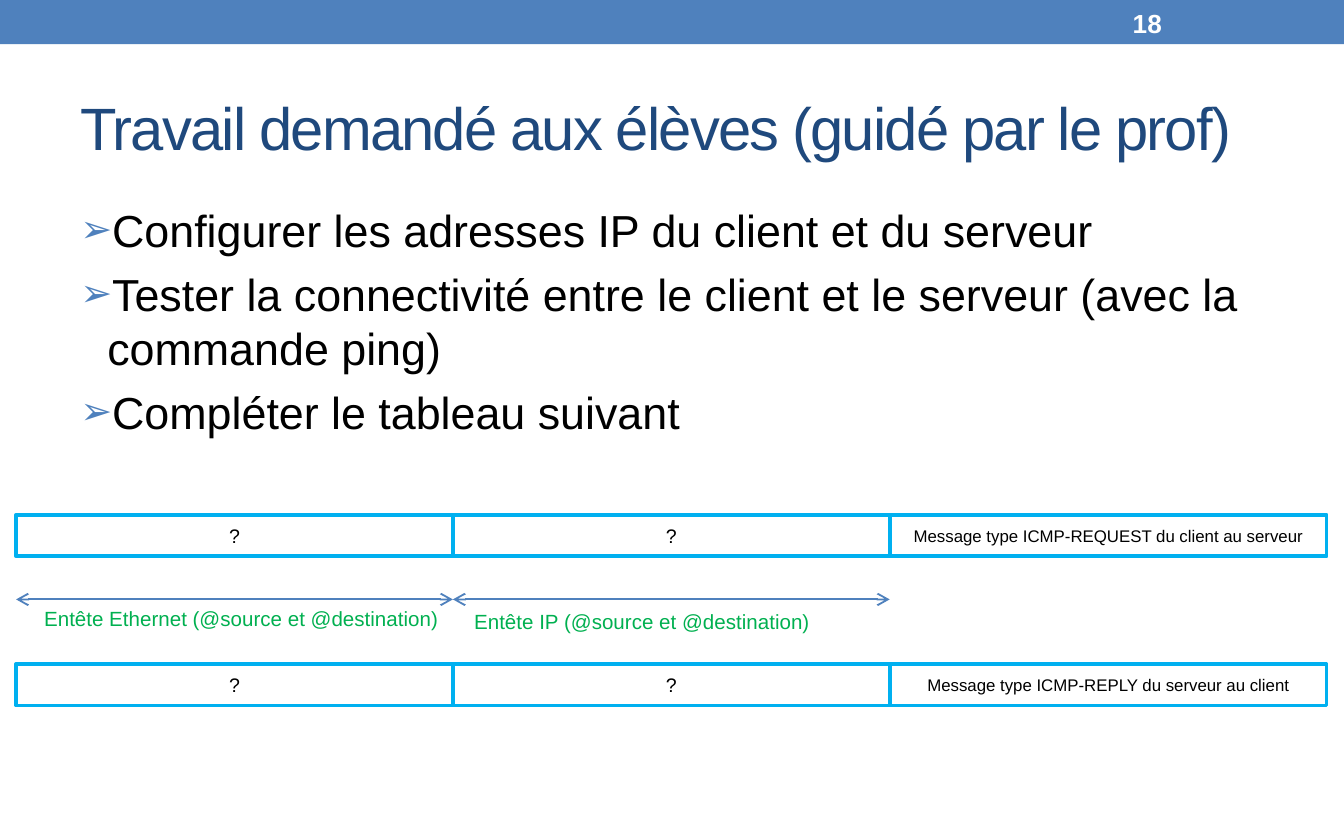
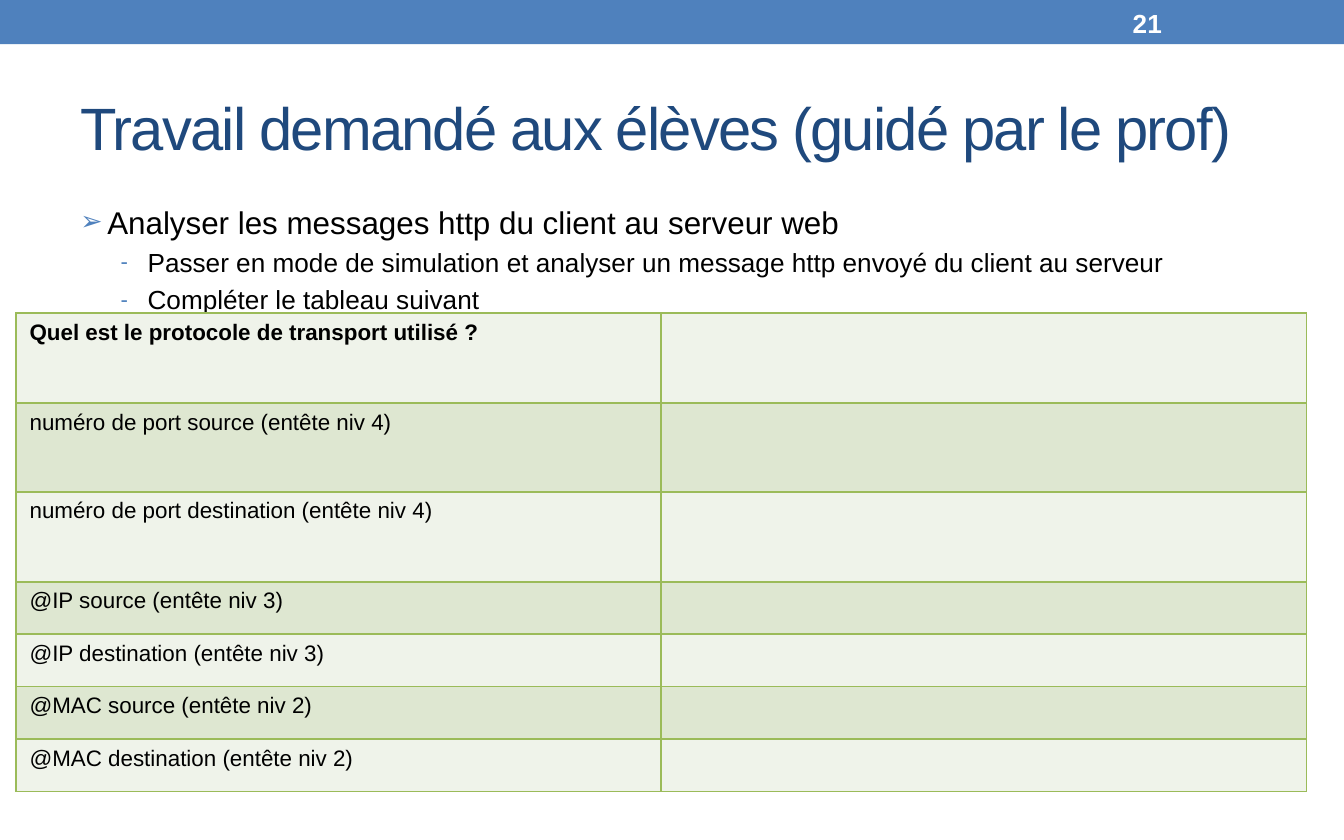
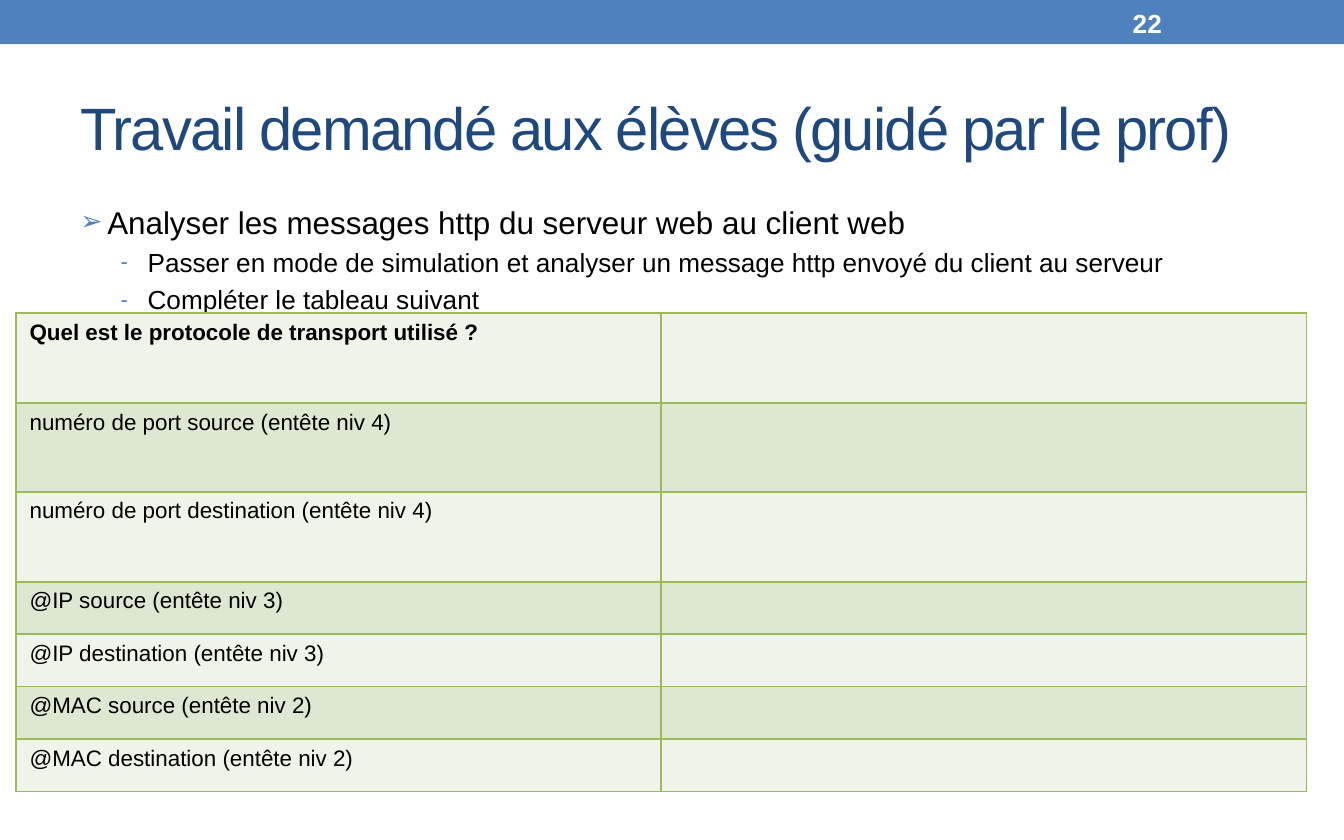
"""Build three slides of a networking lesson: ping messages and HTTP analysis."""
from lxml import etree
from pptx import Presentation
from pptx import util as u
from pptx.dml.color import RGBColor
from pptx.enum import shapes, text
from pptx.oxml import ns

COLORS = {
    "band": "4F81BD", "title": "1F497D", "body": "000000", "white": "FFFFFF",
    "frame": "00B0F0", "label": "00B050", "border": "9BBB59",
    "light": "EFF3EA", "dark": "DEE7D1",
}
FONT = "Arial"
TITLE = "Travail demandé aux élèves (guidé par le prof)"
LEVELS = [{"char": "➢", "left": 0.2}, {"char": "-", "left": 0.5}]
HANG = 0.2
SPACING = 0.23
FIELD_X, FIELD_W, FIELD_H = 0.12, 3.25, 0.31
QUESTIONS = [
    ("Quel est le protocole de transport utilisé ?", 0.67),
    ("numéro de port source (entête niv 4)", 0.66),
    ("numéro de port destination (entête niv 4)", 0.67),
    ("@IP source (entête niv 3)", 0.39),
    ("@IP destination (entête niv 3)", 0.39),
    ("@MAC source (entête niv 2)", 0.39),
    ("@MAC destination (entête niv 2)", 0.39),
]


def rgb(name):
    """Return a named colour."""
    return RGBColor.from_string(COLORS[name])


def box(*lengths):
    """Convert lengths in inches."""
    return [u.Inches(n) for n in lengths]


def sub(parent, tag, **attrs):
    """Append a DrawingML element."""
    return etree.SubElement(parent, ns.qn("a:" + tag), attrs)


def add_run(p, content, size, color="body", **fmt):
    """Add a formatted run to a paragraph."""
    r = p.add_run()
    r.text = content
    for name, value in {"name": FONT, "size": u.Pt(size), **fmt}.items():
        setattr(r.font, name, value)
    r.font.color.rgb = rgb(color)
    return r


def add_text(s, at, content="", size=14, color="body", frame=None, **fmt):
    """Add a text box, with one run if there is content."""
    tf = s.shapes.add_textbox(*box(*at)).text_frame
    for name, value in {"word_wrap": True, **(frame or {})}.items():
        setattr(tf, name, value)
    if content:
        add_run(tf.paragraphs[0], content, size, color, **fmt)
    return tf


def add_rect(s, at, fill=None, line=None):
    """Add a rectangle with an optional fill and outline."""
    sp = s.shapes.add_shape(shapes.MSO_SHAPE.RECTANGLE, *box(*at))
    sp.shadow.inherit = False
    for part, color in ((sp.fill, fill), (sp.line.fill, line)):
        if color:
            part.solid()
            part.fore_color.rgb = rgb(color)
        else:
            part.background()
    return sp


def add_frame(prs, number):
    """Add a slide with its band, title and number."""
    s = prs.slides.add_slide(prs.slide_layouts[6])
    middle = {"vertical_anchor": text.MSO_ANCHOR.MIDDLE}
    add_rect(s, (0, 0, 10, 0.33), fill="band")
    tf = add_text(s, (0.5, 0.49, 9, 0.9), TITLE, 32, "title", middle)
    tf.paragraphs[0].runs[0].font._element.set("spc", "-100")
    add_text(s, (8.33, 0.02, 1.17, 0.3), str(number), 14, "white", middle, bold=True)
    return s


def add_bullets(s, height, items):
    """Add a bulleted body from (level, size, content) items."""
    tf = add_text(s, (0.5, 1.46, 9, height))
    for i, (level, size, content) in enumerate(items):
        p = tf.add_paragraph() if i else tf.paragraphs[0]
        p.level = level
        if i:
            p.space_before = u.Pt(round(size * SPACING, 1))
        style = LEVELS[level]
        pPr = p._p.get_or_add_pPr()
        pPr.set("marL", str(u.Inches(style["left"])))
        pPr.set("indent", str(-u.Inches(HANG)))
        sub(sub(pPr, "buClr"), "srgbClr", val=COLORS["band"])
        sub(pPr, "buSzPct", val="85000")
        sub(pPr, "buFont", typeface=FONT)
        sub(pPr, "buChar", char=style["char"])
        add_run(p, content, size)


def add_message(s, top, content):
    """Add a row of three fields that ends with the message type."""
    for i, (field, size) in enumerate([("?", 10.5), ("?", 10.5), (content, 9)]):
        sp = add_rect(s, (FIELD_X + i * FIELD_W, top, FIELD_W, FIELD_H), line="frame")
        sp.line.width = u.Pt(2.08)
        tf = sp.text_frame
        tf.word_wrap = True
        tf.vertical_anchor = text.MSO_ANCHOR.MIDDLE
        p = tf.paragraphs[0]
        p.alignment = text.PP_ALIGN.CENTER
        add_run(p, field, size)


def add_span(s, x, y, width):
    """Add a horizontal double arrow."""
    cx = s.shapes.add_connector(shapes.MSO_CONNECTOR.STRAIGHT, *box(x, y, x + width, y))
    cx.line.color.rgb = rgb("band")
    cx.line.width = u.Pt(1)
    for end in ("headEnd", "tailEnd"):
        sub(cx.line._get_or_add_ln(), end, type="arrow")
    sub(cx._element.spPr, "effectLst")


def fill_cell(cell, fill):
    """Give a cell its borders and fill."""
    tcPr = cell._tc.get_or_add_tcPr()
    for side in "LRTB":
        ln = sub(tcPr, "ln" + side, w=str(u.Pt(1)))
        sub(sub(ln, "solidFill"), "srgbClr", val=COLORS["border"])
    cell.fill.solid()
    cell.fill.fore_color.rgb = rgb(fill)


def add_questions(s):
    """Add the table of questions with an empty answer column."""
    height = sum(h for _, h in QUESTIONS)
    table = s.shapes.add_table(len(QUESTIONS), 2, *box(0.12, 2.33, 9.6, height)).table
    for column in table.columns:
        column.width = u.Inches(4.8)
    for i, (question, height) in enumerate(QUESTIONS):
        table.rows[i].height = u.Inches(height)
        for cell in table.rows[i].cells:
            fill_cell(cell, "dark" if i % 2 else "light")
        add_run(table.cell(i, 0).text_frame.paragraphs[0], question, 12, bold=i == 0)
        sub(table.cell(i, 1).text_frame.paragraphs[0]._p, "endParaRPr", sz="1200")


def add_ping_slide(prs):
    """Add the slide on addresses and ping messages."""
    s = add_frame(prs, 18)
    add_bullets(s, 4.44, [
        (0, 24, "Configurer les adresses IP du client et du serveur"),
        (0, 24, "Tester la connectivité entre le client et le serveur "
                "(avec la commande ping)"),
        (0, 24, "Compléter le tableau suivant"),
    ])
    add_message(s, 3.83, "Message type ICMP-REQUEST du client au serveur")
    add_message(s, 4.94, "Message type ICMP-REPLY du serveur au client")
    for i in range(2):
        add_span(s, FIELD_X + i * FIELD_W, 4.46, FIELD_W)
    grow = {"auto_size": text.MSO_AUTO_SIZE.SHAPE_TO_FIT_TEXT}
    add_text(s, (3.43, 4.48, 3.07, 0.29), "Entête IP (@source et @destination)",
             11, "label", grow)
    add_text(s, (0.23, 4.46, 3.15, 0.29), "Entête Ethernet (@source et @destination)",
             11, "label", {**grow, "word_wrap": False})


def add_http_slide(prs, number, direction):
    """Add a slide on HTTP messages going in one direction."""
    s = add_frame(prs, number)
    add_bullets(s, 0.88, [
        (0, 16.8, f"Analyser les messages http du {direction}"),
        (1, 14, "Passer en mode de simulation et analyser un message http "
                "envoyé du client au serveur"),
        (1, 14, "Compléter le tableau suivant"),
    ])
    add_questions(s)


def main():
    """Build and save the presentation."""
    prs = Presentation()
    prs.slide_width, prs.slide_height = box(10, 6.25)
    add_ping_slide(prs)
    add_http_slide(prs, 21, "client au serveur web")
    add_http_slide(prs, 22, "serveur web au client web")
    prs.save("out.pptx")


if __name__ == "__main__":
    main()
